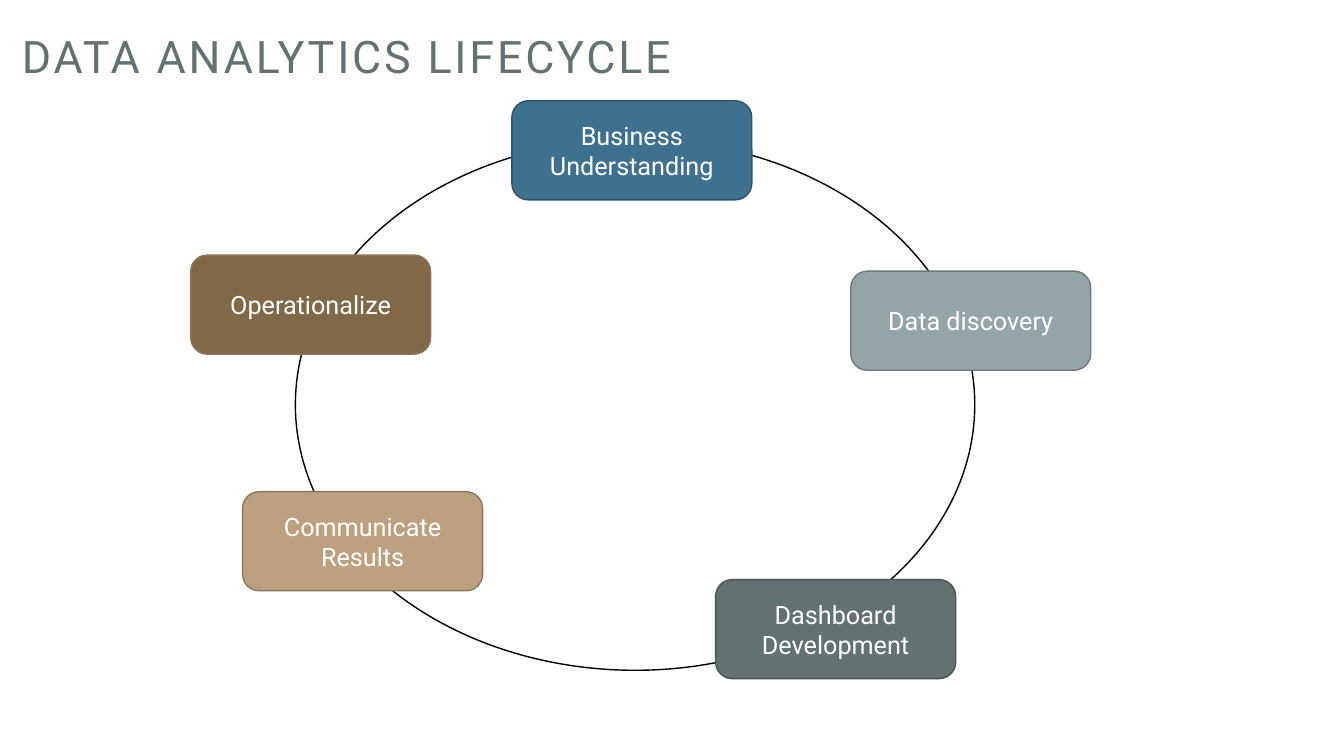
from pptx import Presentation
from pptx.dml.color import RGBColor
from pptx.enum.shapes import MSO_SHAPE
from pptx.enum.text import MSO_ANCHOR, MSO_AUTO_SIZE, PP_ALIGN
from pptx.util import Pt

WHITE = RGBColor(0xFF, 0xFF, 0xFF)
BLACK = RGBColor(0, 0, 0)
BLUE = RGBColor(0x3E, 0x70, 0x90)
NAVY = RGBColor(0x2E, 0x53, 0x6B)
MIST = RGBColor(0x93, 0xA5, 0xA8)
STEEL = RGBColor(0x6D, 0x7A, 0x7C)
SLATE = RGBColor(0x62, 0x72, 0x72)
COAL = RGBColor(0x49, 0x54, 0x54)
TAN = RGBColor(0xBD, 0xA0, 0x7D)
BROWN = RGBColor(0x81, 0x68, 0x46)
UMBER = RGBColor(0x8C, 0x76, 0x5C)

FONT = "Roboto"
TITLE = "DATA ANALYTICS LIFECYCLE"
RING = (211, 99.4, 485.3, 379.4)
SIZE = (171.4, 70.8)
# text, left, top, fill, line
STAGES = [
    ("Business Understanding", 365.6, 72, BLUE, NAVY),
    ("Data discovery", 607.7, 193.7, MIST, STEEL),
    ("Dashboard Development", 511.2, 414, SLATE, COAL),
    ("Communicate Results", 173.3, 351.2, TAN, UMBER),
    ("Operationalize", 136.2, 182.2, BROWN, UMBER),
]


def write(frame, text, size, color):
    frame.word_wrap = True
    frame.vertical_anchor = MSO_ANCHOR.MIDDLE
    para = frame.paragraphs[0]
    para.alignment = PP_ALIGN.CENTER
    run = para.add_run()
    run.text = text
    run.font.name = FONT
    run.font.size = Pt(size)
    run.font.color.rgb = color
    return para, run


def draw(slide, kind, box, fill, line):
    shape = slide.shapes.add_shape(kind, *map(Pt, box))
    shape.shadow.inherit = False
    shape.fill.solid()
    shape.fill.fore_color.rgb = fill
    shape.line.color.rgb = line
    shape.line.width = Pt(1)
    return shape


def main():
    deck = Presentation()
    deck.slide_width, deck.slide_height = Pt(960), Pt(540)
    slide = deck.slides.add_slide(deck.slide_layouts[5])

    title = slide.shapes.title
    title.left, title.top = Pt(0), Pt(20)
    title.width, title.height = Pt(495.4), Pt(44.6)
    title.text_frame.auto_size = MSO_AUTO_SIZE.NONE
    para, run = write(title.text_frame, TITLE, 32, SLATE)
    para.line_spacing = 0.9
    run.font._element.set("spc", "200")

    draw(slide, MSO_SHAPE.OVAL, RING, WHITE, BLACK)
    for text, left, top, fill, line in STAGES:
        card = draw(slide, MSO_SHAPE.ROUNDED_RECTANGLE,
                    (left, top, *SIZE), fill, line)
        write(card.text_frame, text, 18, WHITE)

    deck.save("out.pptx")


if __name__ == "__main__":
    main()
